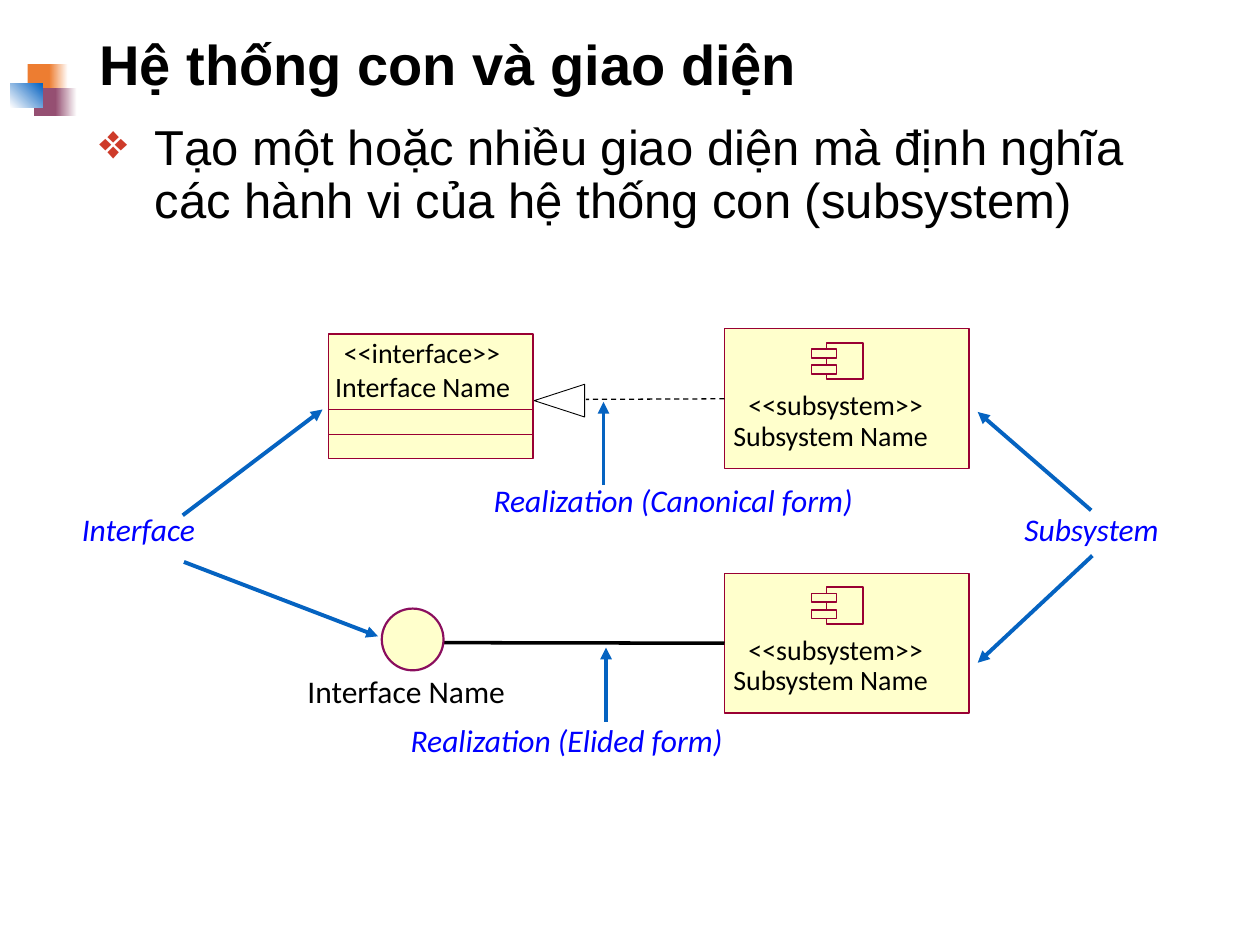
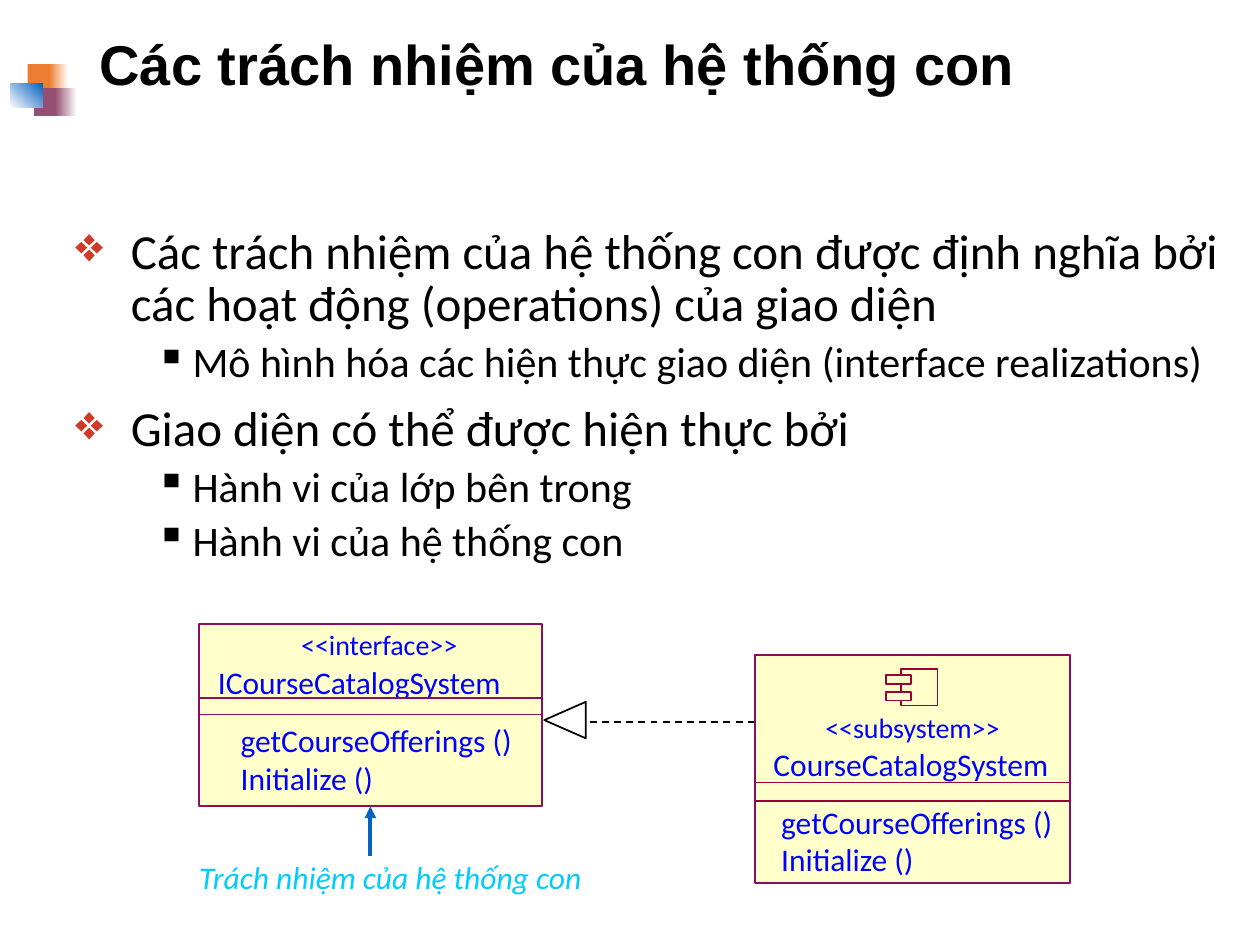
from lxml import etree
from pptx import Presentation
from pptx.dml.color import RGBColor
from pptx.enum import dml, shapes, text
from pptx.oxml import ns
from pptx.util import Inches, Pt


class Theme:
    black, blue, cyan = "000000", "0000FF", "00CCFF"
    arrow, bullet = "0563C1", "CE3B2A"
    cream, crimson, plum = "FFFFCC", "990033", "8A0E5E"
    orange, violet, white = "ED7D31", "954F72", "FFFFFF"
    heading, body = "Arial", "Calibri"
    title_pt, label_pt, small_pt = 32, 18, 16
    arrow_pt = 2.25


# ---- Content: shared ornament (box, colours, gradient angle) ----
ORNAMENT = [
    ((0.22, 0.51, 0.2, 0.22), [Theme.orange], 0),
    ((0.39, 0.51, 0.15, 0.22), [Theme.orange, Theme.white], 0),
    ((0.27, 0.7, 0.19, 0.22), [Theme.violet], 0),
    ((0.44, 0.7, 0.17, 0.22), [Theme.violet, Theme.white], 0),
    ((0.08, 0.66, 0.26, 0.19), [Theme.white, Theme.arrow], 45),
]

# Outline level: bullet, bullet colour, left margin, hanging indent, size, space before
LEVELS = [
    ("❖", Theme.bullet, 0.44, 0.44, 28, 10),
    ("▪", Theme.black, 0.93, 0.29, 24, 5),
]

# ---- Content: slide 1 ----
NOTATION = {
    "title": "Hệ thống con và giao diện",
    "outline": [(0, "Tạo một hoặc nhiều giao diện mà định nghĩa các hành vi "
                    "của hệ thống con (subsystem)")],
    "outline_box": (0.69, 0.93, 8.62, 5.66),
    "subsystem_tops": [2.61, 4.55],
    "captions": [
        ("Subsystem", (8.01, 3.99, 1.69, 0.45), "LEFT"),
        ("Interface", (0.53, 3.99, 1.37, 0.45), "LEFT"),
        ("Realization (Canonical form)", (2.69, 3.76, 4.2, 0.45), "RIGHT"),
        ("Realization (Elided form)", (3.14, 5.66, 3.3, 0.45), "LEFT"),
    ],
    "pointers": [
        ((1.45, 4.09), (2.56, 3.25)),
        ((1.46, 4.46), (3, 5.05)),
        ((8.66, 4.05), (7.76, 3.27)),
        ((8.67, 4.41), (7.76, 5.26)),
        ((4.79, 3.85), (4.79, 3.19)),
        ((4.81, 5.73), (4.81, 5.14)),
    ],
}

# ---- Content: slide 2 ----
RESPONSIBILITIES = {
    "title": "Các trách nhiệm của hệ thống con",
    "outline": [
        (0, "Các trách nhiệm của hệ thống con được định nghĩa bởi "
            "các hoạt động (operations) của giao diện"),
        (1, "Mô hình hóa các hiện thực giao diện (interface realizations)"),
        (0, "Giao diện có thể được hiện thực bởi"),
        (1, "Hành vi của lớp bên trong"),
        (1, "Hành vi của hệ thống con"),
    ],
    "outline_box": (0.5, 1.75, 9.5, 5.33),
    "operations": ["getCourseOfferings ()", "Initialize ()"],
    "caption": "Trách nhiệm của hệ thống con",
}


# ---- Helpers ----
def rgb(code):
    return RGBColor.from_string(code)


def inches(values):
    return [Inches(v) for v in values]


def add_child(parent, tag, **attributes):
    child = etree.SubElement(parent, ns.qn(tag))
    for key, value in attributes.items():
        child.set(key, value)
    return child


def style_run(paragraph, words, size, color, font=Theme.body, bold=False, italic=False):
    run = paragraph.add_run()
    run.text = words
    run.font.size, run.font.name = Pt(size), font
    run.font.bold, run.font.italic = bold, italic
    run.font.color.rgb = rgb(color)


def outline(shape, color, width):
    shape.shadow.inherit = False
    shape.line.color.rgb = rgb(color)
    shape.line.width = Pt(width)


def add_box(parent, box, color, width, kind=shapes.MSO_SHAPE.RECTANGLE, fill=Theme.cream):
    shape = parent.add_shape(kind, *inches(box))
    outline(shape, color, width)
    if fill:
        shape.fill.solid()
        shape.fill.fore_color.rgb = rgb(fill)
    else:
        shape.fill.background()
    return shape


def add_line(slide, start, end, color, width, dashed=False, arrow=False):
    line = slide.shapes.add_connector(
        shapes.MSO_CONNECTOR.STRAIGHT, *inches(start + end))
    line.line.color.rgb = rgb(color)
    line.line.width = Pt(width)
    if dashed:
        line.line.dash_style = dml.MSO_LINE.DASH
    if arrow:
        add_child(line.line._get_or_add_ln(), "a:tailEnd", type="triangle")
    add_child(line.element.spPr, "a:effectLst")
    return line


def add_pointer(slide, start, end):
    return add_line(slide, start, end, Theme.arrow, Theme.arrow_pt, arrow=True)


def add_label(slide, lines, box, size=Theme.small_pt, color=Theme.black, align="LEFT"):
    """Tight label without insets or wrapping."""
    frame = slide.shapes.add_textbox(*inches(box)).text_frame
    frame.margin_left = frame.margin_right = frame.margin_top = frame.margin_bottom = 0
    frame.word_wrap = False
    frame.auto_size = text.MSO_AUTO_SIZE.SHAPE_TO_FIT_TEXT
    for i, words in enumerate(lines):
        paragraph = frame.add_paragraph() if i else frame.paragraphs[0]
        paragraph.alignment = text.PP_ALIGN[align]
        style_run(paragraph, words, size, color)


def add_caption(slide, words, box, align="LEFT", color=Theme.blue):
    """Italic annotation of a diagram part."""
    frame = slide.shapes.add_textbox(*inches(box)).text_frame
    frame.margin_left = frame.margin_right = Inches(0.12)
    frame.margin_top = frame.margin_bottom = Inches(0.06)
    frame.word_wrap = True
    frame.auto_size = text.MSO_AUTO_SIZE.SHAPE_TO_FIT_TEXT
    frame.paragraphs[0].alignment = text.PP_ALIGN[align]
    style_run(frame.paragraphs[0], words, Theme.label_pt, color, italic=True)


def add_icon(slide, left, top):
    """Component symbol: a square with two tabs."""
    icon = slide.shapes.add_group_shape().shapes
    add_box(icon, (left + 0.12, top, 0.29, 0.29), Theme.crimson, 1)
    for drop in (0.18, 0.05):
        add_box(icon, (left, top + drop, 0.2, 0.07), Theme.crimson, 1)


def add_outline(slide, items, box, font):
    frame = slide.shapes.add_textbox(*inches(box)).text_frame
    frame.word_wrap = True
    for i, (level, words) in enumerate(items):
        mark, mark_color, margin, hanging, size, before = LEVELS[level]
        paragraph = frame.add_paragraph() if i else frame.paragraphs[0]
        paragraph.level = level
        paragraph.line_spacing = 0.9
        paragraph.space_before = Pt(before if i else 0)
        properties = paragraph._p.get_or_add_pPr()
        properties.set("marL", str(Inches(margin)))
        properties.set("indent", str(-Inches(hanging)))
        add_child(add_child(properties, "a:buClr"), "a:srgbClr", val=mark_color)
        add_child(properties, "a:buChar", char=mark)
        style_run(paragraph, words, size, Theme.black, font)


def decorate_layout(layout, slide):
    """Build the ornament once and hand it to the layout all slides use."""
    ornament = slide.shapes.add_group_shape()
    for box, colors, angle in ORNAMENT:
        tile = add_box(ornament.shapes, box, colors[0], 0, fill=colors[0])
        tile.line.fill.background()
        if len(colors) > 1:
            tile.fill.gradient()
            tile.fill.gradient_angle = angle
            for stop, color in zip(tile.fill.gradient_stops, colors):
                stop.color.rgb = rgb(color)
    layout.shapes.element.append(ornament.element)


def start_slide(deck, layout, content, font):
    slide = deck.slides.add_slide(layout)
    title = slide.shapes.title
    title.left, title.top, title.width, title.height = inches((0.69, 0.13, 8.62, 0.81))
    title.text_frame.vertical_anchor = text.MSO_ANCHOR.MIDDLE
    heading = title.text_frame.paragraphs[0]
    heading.alignment, heading.line_spacing = text.PP_ALIGN.LEFT, 0.9
    style_run(heading, content["title"], Theme.title_pt, Theme.black, Theme.heading, bold=True)
    add_outline(slide, content["outline"], content["outline_box"], font)
    return slide


# ---- Slide 1: canonical and elided notation ----
def draw_notation(slide):
    left = 5.75
    subsystems = []
    for top in NOTATION["subsystem_tops"]:
        subsystems.append(add_box(slide.shapes, (left, top, 1.94, 1.11), Theme.crimson, 0))
        add_label(slide, ["Subsystem Name"], (left + 0.07, top + 0.71, 1.82, 0.27))
        add_label(slide, ["<<subsystem>>"], (left + 0.19, top + 0.47, 1.58, 0.27))
        add_icon(slide, left + 0.69, top + 0.11)
    canonical, elided = subsystems

    # Interface as a class box
    add_box(slide.shapes, (2.61, 2.65, 1.62, 0.99), Theme.crimson, 0)
    add_label(slide, ["<<interface>>"], (2.73, 2.66, 1.37, 0.27))
    add_label(slide, ["Interface Name"], (2.66, 2.93, 1.52, 0.27))
    for y in (3.25, 3.45):
        add_line(slide, (2.61, y), (4.23, y), Theme.crimson, 0.25)
    realization = add_line(slide, (left, 3.17), (4.65, 3.17), Theme.black, 0.75, dashed=True)
    realization.begin_connect(canonical, 1)
    apex, *base = [inches(point) for point in ((4.24, 3.18), (4.64, 3.31), (4.64, 3.05))]
    builder = slide.shapes.build_freeform(*apex)
    builder.add_line_segments(base, close=True)
    arrowhead = builder.convert_to_shape()
    outline(arrowhead, Theme.black, 0.5)
    arrowhead.fill.background()

    # Interface as a circle
    stem = add_line(slide, (left, 5.1), (3.33, 5.1), Theme.black, 0)
    stem.begin_connect(elided, 1)
    add_box(slide.shapes, (3.03, 4.83, 0.49, 0.49), Theme.plum, 1.25, shapes.MSO_SHAPE.OVAL)
    add_label(slide, ["Interface Name"], (2.44, 5.33, 1.71, 0.3), Theme.label_pt)

    for words, box, align in NOTATION["captions"]:
        add_caption(slide, words, box, align)
    for start, end in NOTATION["pointers"]:
        add_pointer(slide, start, end)


# ---- Slide 2: course catalogue example ----
def draw_responsibilities(slide):
    operations = RESPONSIBILITIES["operations"]

    # Interface with three overlapping compartments
    left, width = 1.58, 2.72
    add_box(slide.shapes, (left, 4.95, width, 1.24), Theme.plum, 1)
    add_label(slide, ["<<interface>>"], (2.39, 4.98, 1.29, 0.27), color=Theme.blue)
    add_label(slide, ["ICourseCatalogSystem"], (1.73, 5.26, 2.33, 0.3),
              Theme.label_pt, Theme.blue)
    add_box(slide.shapes, (left, 5.54, width, 0.65), Theme.plum, 1)
    operations_box = add_box(slide.shapes, (left, 5.67, width, 0.73), Theme.plum, 1)
    add_label(slide, operations, (1.91, 5.72, 2.22, 0.61), Theme.label_pt, Theme.blue)

    # Realization
    add_line(slide, (5.99, 5.73), (4.65, 5.73), Theme.black, 1, dashed=True)
    arrowhead = add_box(slide.shapes, (4.34, 5.55, 0.29, 0.33), Theme.black, 1,
                        shapes.MSO_SHAPE.ISOSCELES_TRIANGLE, fill=None)
    arrowhead.rotation = 270

    # Subsystem
    left, width = 5.99, 2.5
    add_box(slide.shapes, (left, 5.2, width, 1.81), Theme.plum, 1)
    add_icon(slide, 7.03, 5.31)
    add_label(slide, ["<<subsystem>>"], (6.55, 5.64, 1.44, 0.27), color=Theme.blue)
    add_label(slide, ["CourseCatalogSystem"], (6.11, 5.91, 2.24, 0.3),
              Theme.label_pt, Theme.blue, "CENTER")
    add_label(slide, operations, (6.2, 6.37, 2.22, 0.61), Theme.label_pt, Theme.blue)
    for y in (6.21, 6.36):
        add_line(slide, (left, y), (left + width, y), Theme.crimson, 1)

    # Annotation
    add_caption(slide, RESPONSIBILITIES["caption"], (1.46, 6.75, 3.54, 0.42), color=Theme.cyan)
    add_pointer(slide, (2.94, 6.79), (2.94, 6.4)).end_connect(operations_box, 2)


def main():
    deck = Presentation()
    deck.slide_width, deck.slide_height = Inches(10), Inches(7.5)
    layout = deck.slide_layouts[5]
    notation = start_slide(deck, layout, NOTATION, Theme.heading)
    decorate_layout(layout, notation)
    draw_notation(notation)
    draw_responsibilities(start_slide(deck, layout, RESPONSIBILITIES, Theme.body))
    deck.save("out.pptx")


if __name__ == "__main__":
    main()
